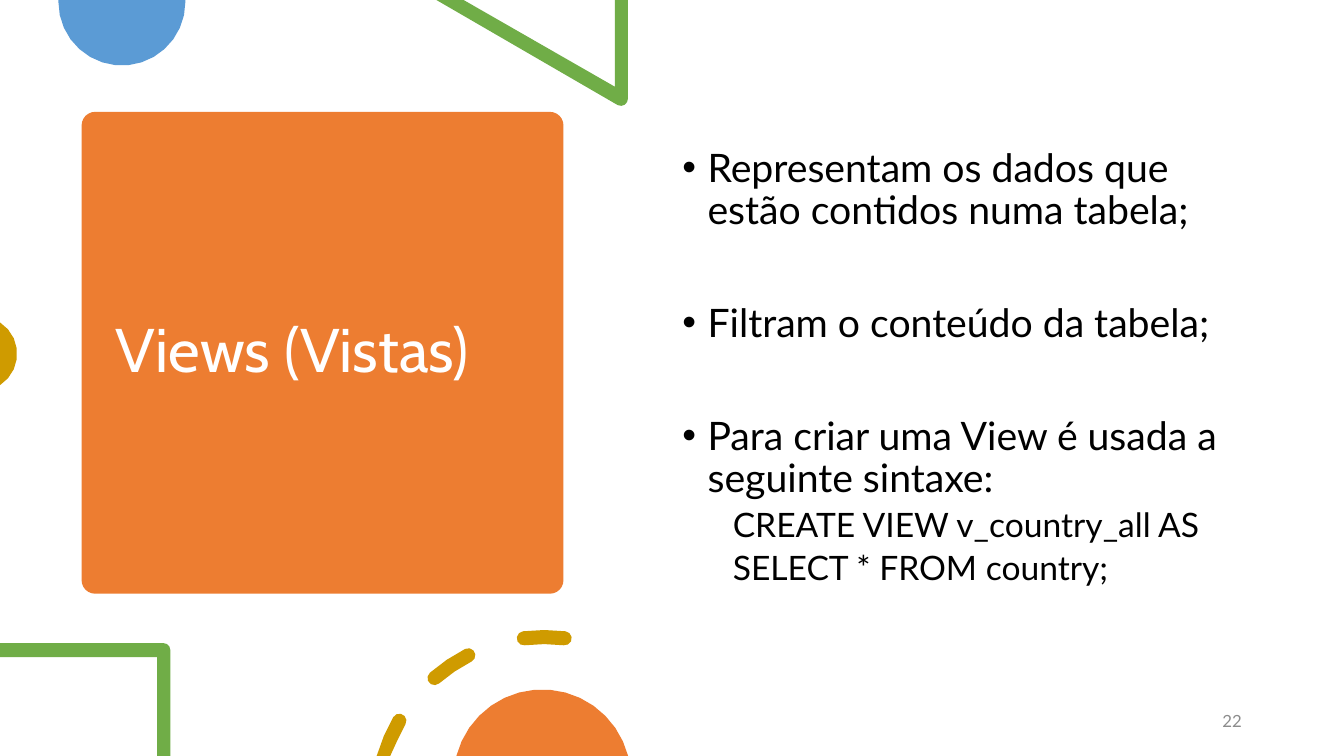
from dataclasses import dataclass
from math import ceil, cos, radians, sin, sqrt

from lxml import etree
from pptx import Presentation
from pptx import util as u
from pptx.dml import color
from pptx.enum import shapes, text
from pptx.oxml import ns

Point = tuple[float, float]

WIDE, HIGH = 40 / 3, 7.5
WHITE = color.RGBColor(0xFF, 0xFF, 0xFF)
BLACK = color.RGBColor(0x00, 0x00, 0x00)
GRAY = color.RGBColor(0x8C, 0x8C, 0x8C)
ORANGE = color.RGBColor(0xED, 0x7D, 0x31)
BLUE = color.RGBColor(0x5B, 0x9B, 0xD5)
GREEN = color.RGBColor(0x70, 0xAD, 0x47)
GOLD = color.RGBColor(0xCF, 0x9B, 0x00)


@dataclass
class Form:
    rings: list[list[Point]]
    fill: color.RGBColor


@dataclass
class Item:
    words: str
    level: int
    size: int
    before: float


def arc(mid: Point, size: float, start: float, end: float) -> list[Point]:
    steps = ceil(abs(end - start) * sqrt(size) / 10)
    turns = [radians(start + (end - start) * i / steps) for i in range(steps + 1)]
    return [(mid[0] + size * cos(t), min(mid[1] + size * sin(t), HIGH)) for t in turns]


def dash(start: float, end: float) -> list[Point]:
    mid, size, half = (5.4, 7.98), 1.66, 0.07

    def spot(turn: float) -> Point:
        return mid[0] + size * cos(radians(turn)), mid[1] + size * sin(radians(turn))

    return (arc(mid, size + half, start, end)
            + arc(spot(end), half, end, end + 180)
            + arc(mid, size - half, end, start)
            + arc(spot(start), half, start + 180, start + 360))


def paint(shape, fill: color.RGBColor) -> None:
    shape.shadow.inherit = False
    shape.fill.solid()
    shape.fill.fore_color.rgb = fill
    shape.line.fill.background()


def draw(slide, form: Form) -> None:
    rings = [[(u.Inches(x), u.Inches(y)) for x, y in ring] for ring in form.rings]
    pen = slide.shapes.build_freeform(*rings[0][0])
    for ring in rings:
        if ring is not rings[0]:
            pen.move_to(*ring[0])
        pen.add_line_segments(ring[1:], close=True)
    paint(pen.convert_to_shape(), form.fill)


def place(shape, left: float, top: float, width: float, height: float) -> None:
    shape.left, shape.top = u.Inches(left), u.Inches(top)
    shape.width, shape.height = u.Inches(width), u.Inches(height)


def setup(frame, anchor: text.MSO_ANCHOR) -> None:
    frame.word_wrap = True
    frame.auto_size = text.MSO_AUTO_SIZE.NONE
    frame.vertical_anchor = anchor


def style(para, face: str, size: int, tint: color.RGBColor, align: text.PP_ALIGN) -> None:
    para.alignment = align
    for run in para.runs:
        run.font.name = face
        run.font.size = u.Pt(size)
        run.font.color.rgb = tint


def indent(para, level: int) -> None:
    props = para._p.get_or_add_pPr()
    props.set("marL", str(u.Inches(0.25 + 0.5 * level)))
    props.set("indent", str(u.Inches(-0.25)))
    if level:
        etree.SubElement(props, ns.qn("a:buNone"))
    else:
        etree.SubElement(props, ns.qn("a:buChar")).set("char", "•")


FORMS = [
    Form([[(0.58, 0), (1.84, 0)] + arc((1.21, 0.02), 0.63, 0, 180)], BLUE),
    Form([[(4.33, 0), (4.6, 0), (6.1, 0.86), (6.1, 0), (6.23, 0)]
          + arc((6.16, 0.98), 0.07, 0, 116)], GREEN),
    Form([arc((-0.2, 3.51), 0.37, -57.3, 57.3)], GOLD),
    Form([[(1.69, 7.5), (1.56, 7.5), (1.56, 6.52), (0, 6.52), (0, 6.38)]
          + arc((1.62, 6.45), 0.07, -90, 0)], GREEN),
    Form([dash(196, 210), dash(229, 243), dash(263, 277)], GOLD),
    Form([arc((5.38, 7.72), 0.88, 194.5, 345.5)], ORANGE),
]

ITEMS = [
    Item("Representam os dados que estão contidos numa tabela;", 0, 28, 10),
    Item("Filtram o conteúdo da tabela;", 0, 28, 50.5),
    Item("Para criar uma View é usada a seguinte sintaxe:", 0, 28, 50.5),
    Item("CREATE VIEW v_country_all AS", 1, 24, 5),
    Item("SELECT * FROM country;", 1, 24, 5),
]


def main() -> None:
    deck = Presentation()
    deck.slide_width, deck.slide_height = u.Inches(WIDE), u.Inches(HIGH)
    slide = deck.slides.add_slide(deck.slide_layouts[1])
    slide.background.fill.solid()
    slide.background.fill.fore_color.rgb = WHITE
    title, body = slide.placeholders

    card = slide.shapes.add_shape(
        shapes.MSO_SHAPE.ROUNDED_RECTANGLE,
        u.Inches(0.81), u.Inches(1.11), u.Inches(4.78), u.Inches(4.78))
    card.adjustments[0] = 0.028
    paint(card, ORANGE)
    title._element.addprevious(card._element)

    place(title, 1.05, 1.22, 4.31, 4.56)
    setup(title.text_frame, text.MSO_ANCHOR.MIDDLE)
    title.text_frame.text = "Views (Vistas)"
    head = title.text_frame.paragraphs[0]
    head.line_spacing = 0.9
    style(head, "Cabin", 44, WHITE, text.PP_ALIGN.LEFT)

    place(body, 6.67, 1.42, 5.75, 5.35)
    setup(body.text_frame, text.MSO_ANCHOR.TOP)
    body.text_frame.text = "\n".join(item.words for item in ITEMS)
    for para, item in zip(body.text_frame.paragraphs, ITEMS):
        para.level = item.level
        para.line_spacing = 0.9
        para.space_before = u.Pt(item.before)
        style(para, "Lato", item.size, BLACK, text.PP_ALIGN.LEFT)
        indent(para, item.level)

    for form in FORMS:
        draw(slide, form)

    page = slide.shapes.add_textbox(
        u.Inches(11.49), u.Inches(6.95), u.Inches(0.93), u.Inches(0.4))
    setup(page.text_frame, text.MSO_ANCHOR.MIDDLE)
    page.text_frame.text = "22"
    foot = page.text_frame.paragraphs[0]
    foot.space_after = u.Pt(6)
    style(foot, "Lato", 12, GRAY, text.PP_ALIGN.RIGHT)

    deck.save("out.pptx")


if __name__ == "__main__":
    main()
